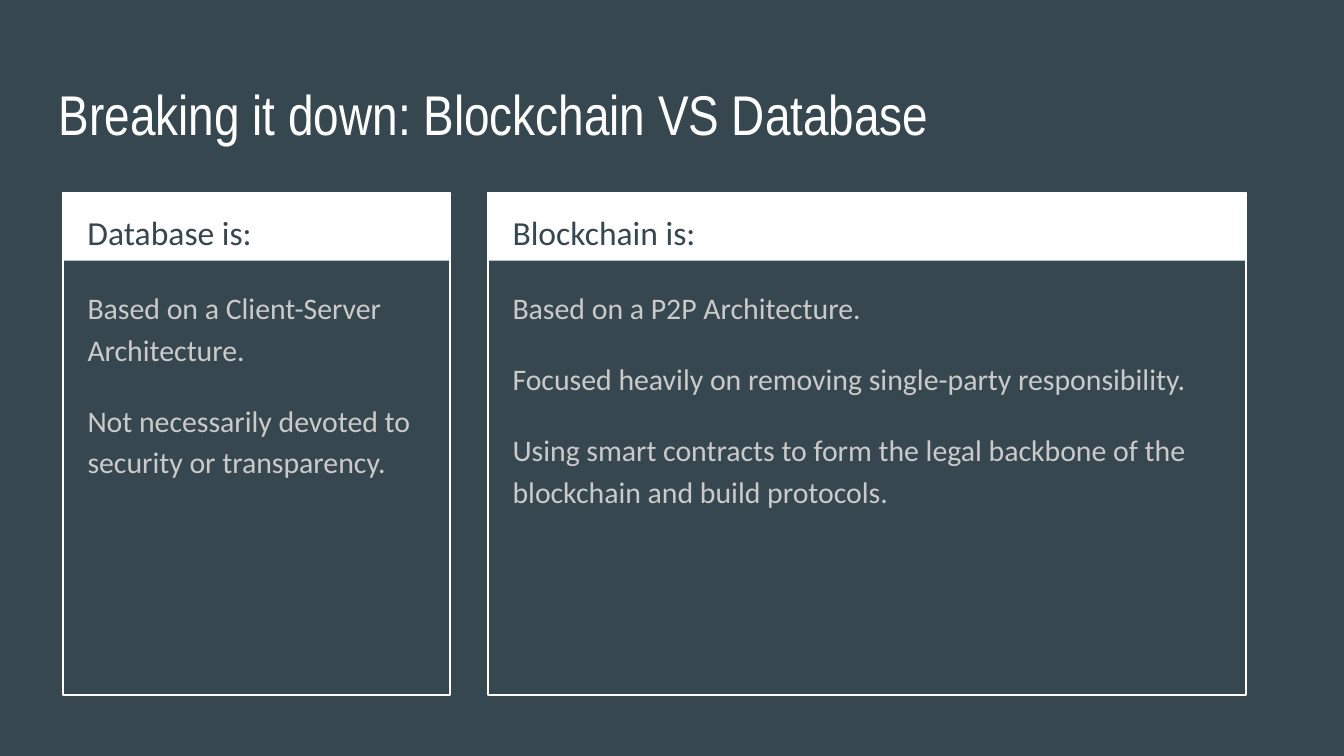
from pptx import Presentation
from pptx.dml.color import RGBColor
from pptx.enum.shapes import MSO_SHAPE
from pptx.enum.text import MSO_ANCHOR
from pptx.util import Pt

TITLE = "Breaking it down: Blockchain VS Database"
CARDS = [
    {
        "left": 33.8,
        "width": 207.4,
        "heading": "Database is:",
        "points": [
            "Based on a Client-Server Architecture.",
            "Not necessarily devoted to security or transparency.",
        ],
    },
    {
        "left": 261.5,
        "width": 406,
        "heading": "Blockchain is:",
        "points": [
            "Based on a P2P Architecture.",
            "Focused heavily on removing single-party responsibility.",
            "Using smart contracts to form the legal backbone of the "
            "blockchain and build protocols.",
        ],
    },
]
COLORS = {"slate": "37474F", "white": "FFFFFF", "gray": "CACACA"}

CARD_TOP, CARD_HEIGHT, BAND_HEIGHT = 103, 269.3, 36.7
BODY_TOP, BODY_HEIGHT = 145.4, 220.3
TEXT_INSET, BOX_MARGIN = 6, 7.2


def color(name):
    return RGBColor.from_string(COLORS[name])


def add_rectangle(page, left, top, width, height, fill=None, line=None):
    shape = page.shapes.add_shape(
        MSO_SHAPE.RECTANGLE, Pt(left), Pt(top), Pt(width), Pt(height)
    )
    shape.shadow.inherit = False
    if fill:
        shape.fill.solid()
        shape.fill.fore_color.rgb = color(fill)
    else:
        shape.fill.background()
    if line:
        shape.line.color.rgb = color(line)
        shape.line.width = Pt(0.75)
    else:
        shape.line.fill.background()


def add_text(page, left, top, width, height, lines, font, size, tint, spacing=1.0):
    box = page.shapes.add_textbox(Pt(left), Pt(top), Pt(width), Pt(height))
    frame = box.text_frame
    frame.word_wrap = True
    frame.vertical_anchor = MSO_ANCHOR.TOP
    frame.margin_left = frame.margin_right = Pt(BOX_MARGIN)
    frame.margin_top = frame.margin_bottom = Pt(BOX_MARGIN)
    for index, line in enumerate(lines):
        paragraph = frame.add_paragraph() if index else frame.paragraphs[0]
        paragraph.line_spacing = spacing
        paragraph.space_before = Pt(size if index else 0)
        span = paragraph.add_run()
        span.text = line
        span.font.name = font
        span.font.size = Pt(size)
        span.font.color.rgb = color(tint)


def add_card(page, card):
    left, width = card["left"], card["width"]
    text_left, text_width = left + TEXT_INSET, width - 2 * TEXT_INSET
    add_rectangle(page, left, CARD_TOP, width, BAND_HEIGHT, fill="white")
    add_rectangle(page, left, CARD_TOP, width, CARD_HEIGHT, line="white")
    add_text(page, text_left, CARD_TOP, 196.6, 36, [card["heading"]],
             "Calibri", 18, "slate", 1.15)
    add_text(page, text_left, BODY_TOP, text_width, BODY_HEIGHT, card["points"],
             "Calibri", 16, "gray", 1.15)


def main():
    deck = Presentation()
    deck.slide_width, deck.slide_height = Pt(720), Pt(405)
    page = deck.slides.add_slide(deck.slide_layouts[6])
    page.background.fill.solid()
    page.background.fill.fore_color.rgb = color("slate")
    add_text(page, 24.5, 35.3, 671, 45.4, [TITLE], "Arial Narrow", 30, "white")
    for card in CARDS:
        add_card(page, card)
    deck.save("out.pptx")


if __name__ == "__main__":
    main()
